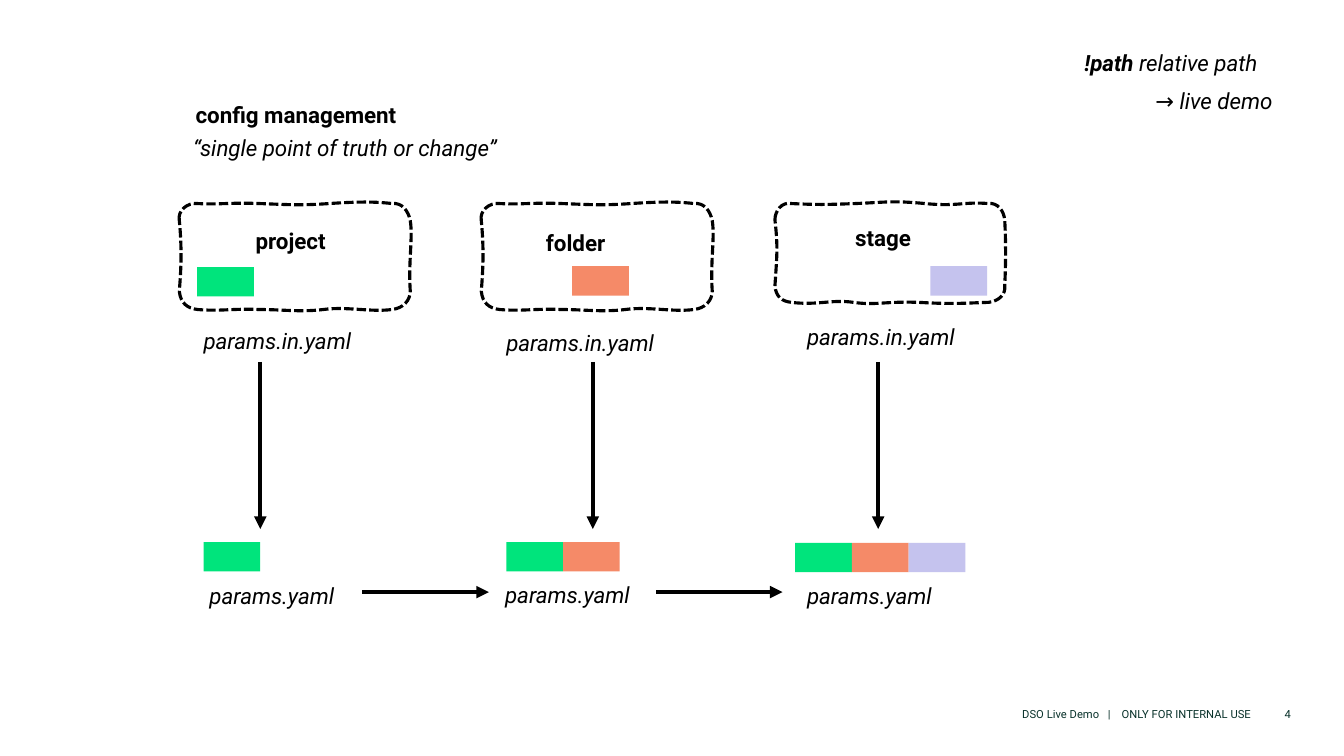
from dataclasses import dataclass

import pptx
import pptx.dml.color
import pptx.enum.dml
import pptx.enum.shapes
import pptx.enum.text
import pptx.oxml
import pptx.oxml.ns
import pptx.util
from lxml import etree
from pptx.util import Cm

COLOURS = {"ink": "000000", "footer": "08312A", "project": "00E47C",
           "folder": "F58A68", "stage": "C5C3EE"}
ALIGN = pptx.enum.text.PP_ALIGN
ANCHOR = pptx.enum.text.MSO_ANCHOR
SWATCH_WIDTH, SWATCH_HEIGHT = 1.43, 0.74

Point = tuple[float, float]
Curve = tuple[Point, Point, Point]

# Hand-drawn frames: each row holds two control points and an end point, in cm.
# The last end point is also the start.
TALL_FRAME: list[Curve] = [
    ((-0.05, 0.18), (0.2, -0.03), (0.46, 0)),
    ((1.04, 0.03), (1.27, -0.03), (2.03, 0)),
    ((2.82, 0.03), (3.05, 0.05), (3.78, 0)),
    ((4.52, -0.05), (4.93, -0.05), (5.36, 0)),
    ((5.61, -0.03), (5.77, 0.18), (5.82, 0.43)),
    ((5.89, 0.86), (5.77, 1.45), (5.82, 2.21)),
    ((5.82, 2.44), (5.64, 2.64), (5.36, 2.67)),
    ((4.83, 2.74), (4.22, 2.59), (3.63, 2.67)),
    ((3.05, 2.74), (2.62, 2.67), (2.01, 2.67)),
    ((1.37, 2.64), (1.04, 2.72), (0.46, 2.67)),
    ((0.2, 2.64), (0.03, 2.51), (0, 2.21)),
    ((0.03, 1.8), (0.08, 1.24), (0, 0.43)),
]
SHORT_FRAME: list[Curve] = [
    ((0, 0.18), (0.18, -0.05), (0.41, 0)),
    ((1.07, 0.03), (1.24, 0.03), (2.03, 0)),
    ((2.79, -0.03), (2.95, -0.08), (3.78, 0)),
    ((4.6, 0.08), (4.75, -0.05), (5.38, 0)),
    ((5.61, -0.03), (5.77, 0.18), (5.79, 0.41)),
    ((5.82, 0.89), (5.82, 1.55), (5.79, 2.08)),
    ((5.82, 2.29), (5.64, 2.46), (5.38, 2.49)),
    ((4.75, 2.51), (4.5, 2.54), (3.63, 2.49)),
    ((2.77, 2.46), (2.54, 2.57), (1.98, 2.49)),
    ((1.42, 2.41), (1.09, 2.57), (0.41, 2.49)),
    ((0.18, 2.46), (0.03, 2.36), (0, 2.08)),
    ((0.05, 1.3), (0.08, 1.12), (0, 0.41)),
]


@dataclass
class Span:
    text: str
    bold: bool = False
    italic: bool = False
    size: float = 16
    colour: str = "ink"
    spacing: float = 0  # extra points after each character


@dataclass
class Level:
    """One configuration level: its frame, labels, swatches and arrow."""
    name: str
    frame: list[Curve]
    frame_left: float
    name_at: Point
    name_width: float
    name_align: ALIGN
    own_swatch: Point
    input_label: Point
    arrow_x: float
    stack: Point
    output_label: Point


LEVELS = [
    Level("project", TALL_FRAME, 4.52, (5.94, 5.45), 2.77, ALIGN.CENTER,
          (4.97, 6.73), (5.13, 7.98), 6.56, (5.13, 13.66), (5.28, 14.4)),
    Level("folder", TALL_FRAME, 12.13, (13.76, 5.51), 2.77, ALIGN.LEFT,
          (14.42, 6.71), (12.76, 8.03), 14.94, (12.76, 13.66), (12.73, 14.38)),
    Level("stage", SHORT_FRAME, 19.53, (20.58, 5.38), 3.35, ALIGN.CENTER,
          (23.45, 6.71), (20.34, 7.87), 22.13, (20.04, 13.68), (20.34, 14.4)),
]


def rgb(name: str) -> pptx.dml.color.RGBColor:
    return pptx.dml.color.RGBColor.from_string(COLOURS[name])


def add_text(page, at: Point, width: float, height: float,
             lines: list[list[Span]], align: ALIGN = ALIGN.LEFT,
             anchor: ANCHOR = ANCHOR.TOP, line_spacing: float = 1.4):
    box = page.shapes.add_textbox(Cm(at[0]), Cm(at[1]), Cm(width), Cm(height))
    frame = box.text_frame
    frame.word_wrap = True
    frame.vertical_anchor = anchor
    frame.margin_left = frame.margin_right = 0
    frame.margin_top = frame.margin_bottom = 0
    for number, line in enumerate(lines):
        para = frame.add_paragraph() if number else frame.paragraphs[0]
        para.alignment = align
        para.line_spacing = line_spacing
        for span in line:
            run = para.add_run()
            run.text = span.text
            run.font.name = "Roboto"
            run.font.size = pptx.util.Pt(span.size)
            run.font.bold = span.bold
            run.font.italic = span.italic
            run.font.color.rgb = rgb(span.colour)
            if span.spacing:
                run.font._element.set("spc", str(round(span.spacing * 100)))
    return box


def add_swatch(page, at: Point, colour: str) -> None:
    swatch = page.shapes.add_shape(
        pptx.enum.shapes.MSO_SHAPE.RECTANGLE, Cm(at[0]), Cm(at[1]),
        Cm(SWATCH_WIDTH), Cm(SWATCH_HEIGHT))
    swatch.shadow.inherit = False
    swatch.fill.solid()
    swatch.fill.fore_color.rgb = rgb(colour)
    swatch.line.fill.background()


def add_arrow(page, start: Point, end: Point) -> None:
    arrow = page.shapes.add_connector(
        pptx.enum.shapes.MSO_CONNECTOR.STRAIGHT, *map(Cm, start + end))
    arrow.line.color.rgb = rgb("ink")
    arrow.line.width = pptx.util.Pt(3)
    head = pptx.oxml.parse_xml(
        f'<a:tailEnd {pptx.oxml.ns.nsdecls("a")} type="triangle"/>')
    arrow.line._get_or_add_ln().append(head)
    arrow._element.spPr.append(pptx.oxml.parse_xml(
        f'<a:effectLst {pptx.oxml.ns.nsdecls("a")}/>'))


def bend_sides(frame, curves: list[Curve]) -> None:
    """Turn each straight side of a freeform into its cubic curve."""
    qn = pptx.oxml.ns.qn
    sides = list(frame._element.iter(qn("a:lnTo")))
    for side, curve in zip(sides, curves):
        bend = etree.Element(qn("a:cubicBezTo"))
        for x, y in curve:
            etree.SubElement(bend, qn("a:pt"), x=str(Cm(x)), y=str(Cm(y)))
        side.getparent().replace(side, bend)


def add_frame(page, curves: list[Curve], left: float, top: float) -> None:
    corners = [(Cm(x), Cm(y)) for _, _, (x, y) in curves]
    builder = page.shapes.build_freeform(*corners[-1])
    builder.add_line_segments(corners, close=True)
    frame = builder.convert_to_shape(Cm(left), Cm(top))
    bend_sides(frame, curves)
    frame.shadow.inherit = False
    frame.fill.background()
    frame.line.color.rgb = rgb("ink")
    frame.line.width = pptx.util.Pt(2.25)
    frame.line.dash_style = pptx.enum.dml.MSO_LINE.SQUARE_DOT


def add_level(page, level: Level, inherited: list[Level]) -> None:
    """Draw a level; its output stacks the swatches of all levels so far."""
    add_frame(page, level.frame, level.frame_left, 5.13)
    add_text(page, level.name_at, level.name_width, 0.89,
             [[Span(level.name, bold=True)]], level.name_align)
    add_swatch(page, level.own_swatch, level.name)
    for label, at in (("params.in.yaml", level.input_label),
                      ("params.yaml", level.output_label)):
        add_text(page, at, 4.7, 0.89, [[Span(label, italic=True)]])
    add_arrow(page, (level.arrow_x, 9.12), (level.arrow_x, 13.33))
    left, top = level.stack
    for place, source in enumerate(inherited):
        add_swatch(page, (left + place * SWATCH_WIDTH, top), source.name)


def main() -> None:
    deck = pptx.Presentation()
    deck.slide_width, deck.slide_height = Cm(33.87), Cm(19.05)
    page = deck.slides.add_slide(deck.slide_layouts[6])

    add_text(page, (4.93, 2.29), 6.07, 1.83, [[Span("config management", bold=True)]])
    add_text(page, (4.87, 3.12), 8.41, 0.89,
             [[Span("“single point of truth or change”", italic=True)]])
    note = add_text(page, (27.33, 0.97), 6.2, 1.83, [
        [Span("!path", bold=True, italic=True), Span(" relative path", italic=True)],
        [Span("→ live demo", italic=True)]])
    note.text_frame.paragraphs[1]._p.get_or_add_pPr().set("marL", str(Cm(1.79)))

    for number, level in enumerate(LEVELS, 1):
        add_level(page, level, LEVELS[:number])
    for start, end in ((9.13, 12.32), (16.54, 19.72)):
        add_arrow(page, (start, 14.92), (end, 14.92))

    footer = [Span("DSO Live Demo"), Span(" ", spacing=4), Span("|"),
              Span(" ", spacing=6), Span("ONLY FOR INTERNAL USE")]
    for left, width, spans in ((17.53, 14.0, footer), (31.74, 0.79, [Span("4")])):
        for span in spans:
            span.size, span.colour = 8, "footer"
        add_text(page, (left, 17.37), width, 0.79, [spans],
                 ALIGN.RIGHT, ANCHOR.BOTTOM, 1.0)
    deck.save("out.pptx")


if __name__ == "__main__":
    main()
